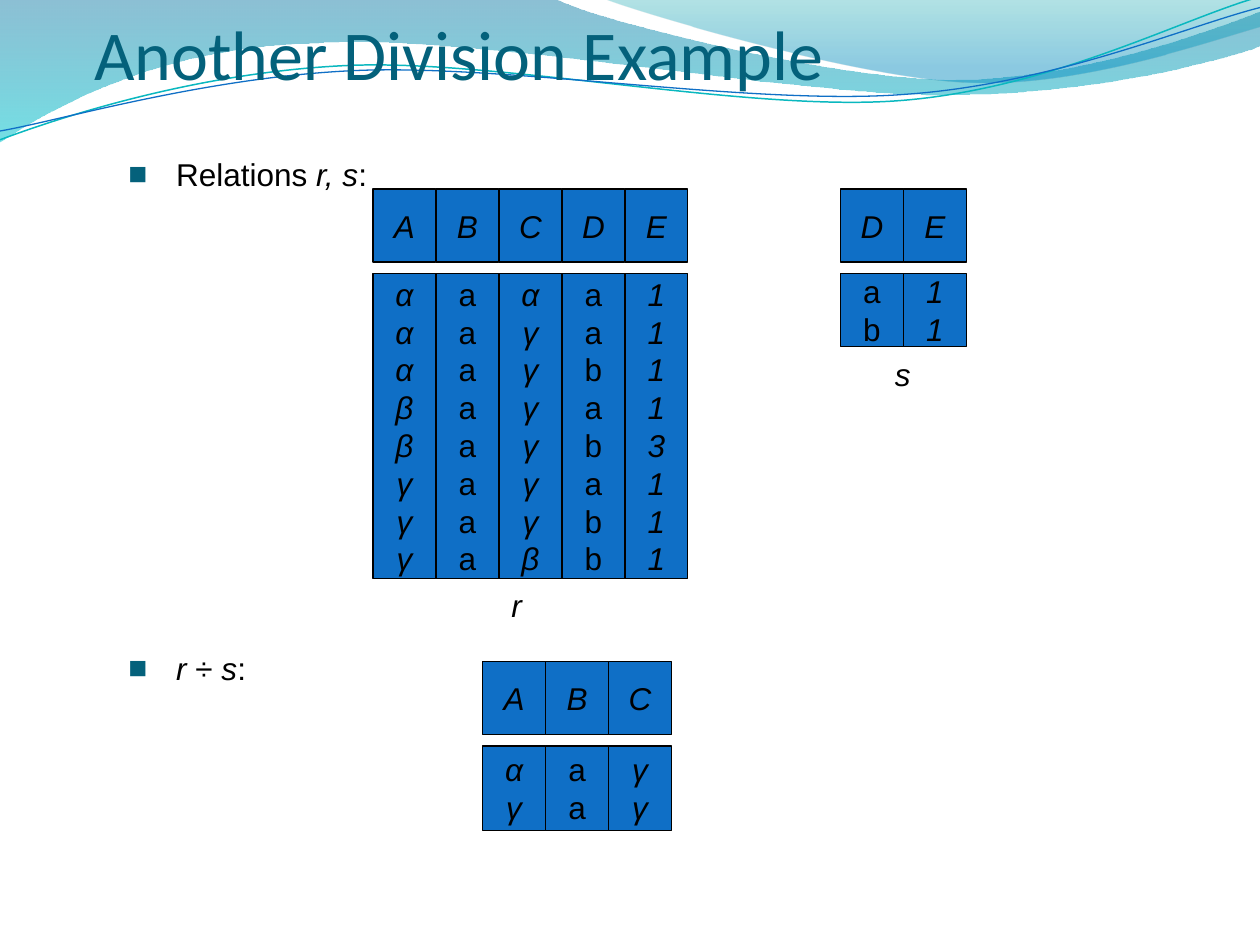
from lxml.etree import SubElement
from pptx import Presentation
from pptx.dml.color import RGBColor
from pptx.enum.shapes import MSO_SHAPE
from pptx.enum.text import MSO_ANCHOR, PP_ALIGN
from pptx.oxml.ns import qn
from pptx.util import Inches, Pt

THEME = {
    "title": "04617B", "text": "000000", "cell": "0F6FC6",
    "title_font": "Calibri", "body_font": "Arial",
    "title_size": 40, "body_size": 18, "cell_line": 0.75,
}

TITLE = "Another Division Example"

# (text, italic) runs of each bullet
BULLETS = [
    {"at": (0.92, 1.18, 2.33, 0.36),
     "runs": [("Relations ", False), ("r, s", True), (":", False)]},
    {"at": (0.92, 5.1, 1.42, 0.36),
     "runs": [("r ", True), ("÷ ", False), ("s", True), (":", False)]},
]

# Each column is its heading followed by its values from top to bottom
RELATIONS = [
    {"left": 2.96, "top": 1.5, "body_height": 2.42,
     "columns": [("A", "αααββγγγ"), ("B", "aaaaaaaa"), ("C", "αγγγγγγβ"),
                 ("D", "aabababb"), ("E", "11113111")]},
    {"left": 6.67, "top": 1.5, "body_height": 0.58,
     "columns": [("D", "ab"), ("E", "11")]},
    {"left": 3.83, "top": 5.25, "body_height": 0.67,
     "columns": [("A", "αγ"), ("B", "aa"), ("C", "γγ")]},
]
RELATION_NAMES = [("r", (3.96, 4.6, 0.28, 0.4)), ("s", (7, 2.77, 0.33, 0.4))]
COLUMN_WIDTH, HEADER_HEIGHT, BODY_OFFSET = 0.5, 0.58, 0.67

# A step of one point is straight; a step of three points is a Bézier curve.
# Gradient stops are (position, colour, opacity in percent).
WAVES = [
    {"start": (0, 0),
     "steps": [[(4.4, -0.01)],
               [(4.76, 0.17), (6.64, 0.63), (7.58, 0.63)],
               [(8.53, 0.63), (9.58, 0.26), (10, 0.09)],
               [(10.01, 0.36)],
               [(9.83, 0.44), (8.7, 0.76), (7.46, 0.75)],
               [(6.22, 0.75), (3.82, 0.28), (2.57, 0.34)],
               [(1.29, 0.36), (0.46, 0.83), (-0.01, 1.13)]],
     "gradient": [(0, "0074A1", 45), (1, "00C6CF", 55)]},
    {"start": (4.79, -0.01),
     "steps": [[(5.09, 0.11), (6.82, 0.62), (7.69, 0.65)],
               [(8.56, 0.69), (9.61, 0.32), (10, 0.21)],
               [(10, 0)]],
     "gradient": [(0, "00A1A9", 30), (0.8, "008BBF", 45)]},
    {"start": (0, 1.11),
     "steps": [[(0.48, 0.93), (1.58, 0.57), (2.77, 0.52)],
               [(3.95, 0.47), (5.93, 0.89), (7.13, 0.8)],
               [(8.33, 0.71), (9.38, 0.15), (9.98, -0.02)]],
     "line": ("0AB8BF", 0.85)},
    {"start": (0, 1.04),
     "steps": [[(0.47, 0.96), (1.64, 0.61), (2.83, 0.56)],
               [(4.03, 0.51), (5.97, 0.84), (7.17, 0.75)],
               [(8.36, 0.67), (9.41, 0.21), (10, 0.06)]],
     "line": ("0F6FC6", 0.75)},
]


def color(name):
    return RGBColor.from_string(THEME.get(name, name))


def to_emu(lengths):
    return [Inches(length) for length in lengths]


def bend(shape, steps):
    """Turn the straight segments of three-point steps into Bézier curves."""
    segments = list(shape._element.spPr.iter(qn("a:lnTo")))
    for segment, step in zip(segments, steps):
        if len(step) == 1:
            continue
        segment.tag = qn("a:cubicBezTo")
        segment.remove(segment[0])
        for x, y in step:
            SubElement(segment, qn("a:pt"), x=str(Inches(x) - shape.left),
                       y=str(Inches(y) - shape.top))


def add_wave(slide, wave):
    builder = slide.shapes.build_freeform(*to_emu(wave["start"]))
    builder.add_line_segments([to_emu(step[-1]) for step in wave["steps"]],
                              close="gradient" in wave)
    shape = builder.convert_to_shape()
    bend(shape, wave["steps"])
    shape.shadow.inherit = False
    if "line" in wave:
        line_color, width = wave["line"]
        shape.fill.background()
        shape.line.color.rgb = color(line_color)
        shape.line.width = Pt(width)
        return
    shape.line.fill.background()
    shape.fill.gradient()
    shape.fill.gradient_angle = 270
    for stop, (position, stop_color, _) in zip(shape.fill.gradient_stops, wave["gradient"]):
        stop.position = position
        stop.color.rgb = color(stop_color)
    stop_elements = shape._element.spPr.iter(qn("a:srgbClr"))
    for element, (_, _, opacity) in zip(stop_elements, wave["gradient"]):
        SubElement(element, qn("a:alpha"), val=str(opacity * 1000))


def format_run(run, italic=False, size="body_size", font="body_font", fill="text"):
    run.font.size = Pt(THEME[size])
    run.font.name = THEME[font]
    run.font.color.rgb = color(fill)
    run.font.italic = italic


def fill_centered(shape, lines):
    """Centred lines, in italics except for the plain values a and b."""
    frame = shape.text_frame
    frame.text = "\n".join(lines)
    frame.word_wrap = False
    frame.vertical_anchor = MSO_ANCHOR.MIDDLE
    for paragraph in frame.paragraphs:
        paragraph.alignment = PP_ALIGN.CENTER
        format_run(paragraph.runs[0], italic=paragraph.text not in "ab")


def add_cell(slide, at, lines):
    shape = slide.shapes.add_shape(MSO_SHAPE.RECTANGLE, *to_emu(at))
    shape.shadow.inherit = False
    shape.fill.solid()
    shape.fill.fore_color.rgb = color("cell")
    shape.line.color.rgb = color("text")
    shape.line.width = Pt(THEME["cell_line"])
    fill_centered(shape, lines)


def add_relation(slide, relation):
    top = relation["top"]
    for index, (heading, values) in enumerate(relation["columns"]):
        left = relation["left"] + index * COLUMN_WIDTH
        add_cell(slide, (left, top, COLUMN_WIDTH, HEADER_HEIGHT), heading)
        add_cell(slide, (left, top + BODY_OFFSET, COLUMN_WIDTH, relation["body_height"]), values)


def add_title(slide):
    frame = slide.shapes.add_textbox(*to_emu((0.75, 0, 8.5, 0.75))).text_frame
    frame.text = TITLE
    frame.word_wrap = True
    frame.vertical_anchor = MSO_ANCHOR.BOTTOM
    frame.margin_left = frame.margin_right = frame.margin_bottom = 0
    format_run(frame.paragraphs[0].runs[0], size="title_size", font="title_font", fill="title")


def add_bullet(slide, bullet):
    frame = slide.shapes.add_textbox(*to_emu(bullet["at"])).text_frame
    frame.word_wrap = True
    paragraph = frame.paragraphs[0]
    for text, italic in bullet["runs"]:
        run = paragraph.add_run()
        run.text = text
        format_run(run, italic)
    properties = paragraph._p.get_or_add_pPr()
    properties.set("marL", str(Inches(0.38)))
    properties.set("indent", str(-Inches(0.38)))
    bullet_color = SubElement(properties, qn("a:buClr"))
    SubElement(bullet_color, qn("a:srgbClr"), val=THEME["title"])
    SubElement(properties, qn("a:buFont"), typeface=THEME["body_font"])
    SubElement(properties, qn("a:buChar"), char="■")


def main():
    presentation = Presentation()
    presentation.slide_width, presentation.slide_height = to_emu((10, 7.5))
    slide = presentation.slides.add_slide(presentation.slide_layouts[6])
    for wave in WAVES:
        add_wave(slide, wave)
    add_title(slide)
    for relation in RELATIONS:
        add_relation(slide, relation)
    for bullet in BULLETS:
        add_bullet(slide, bullet)
    for name, at in RELATION_NAMES:
        fill_centered(slide.shapes.add_textbox(*to_emu(at)), name)
    presentation.save("out.pptx")


if __name__ == "__main__":
    main()
